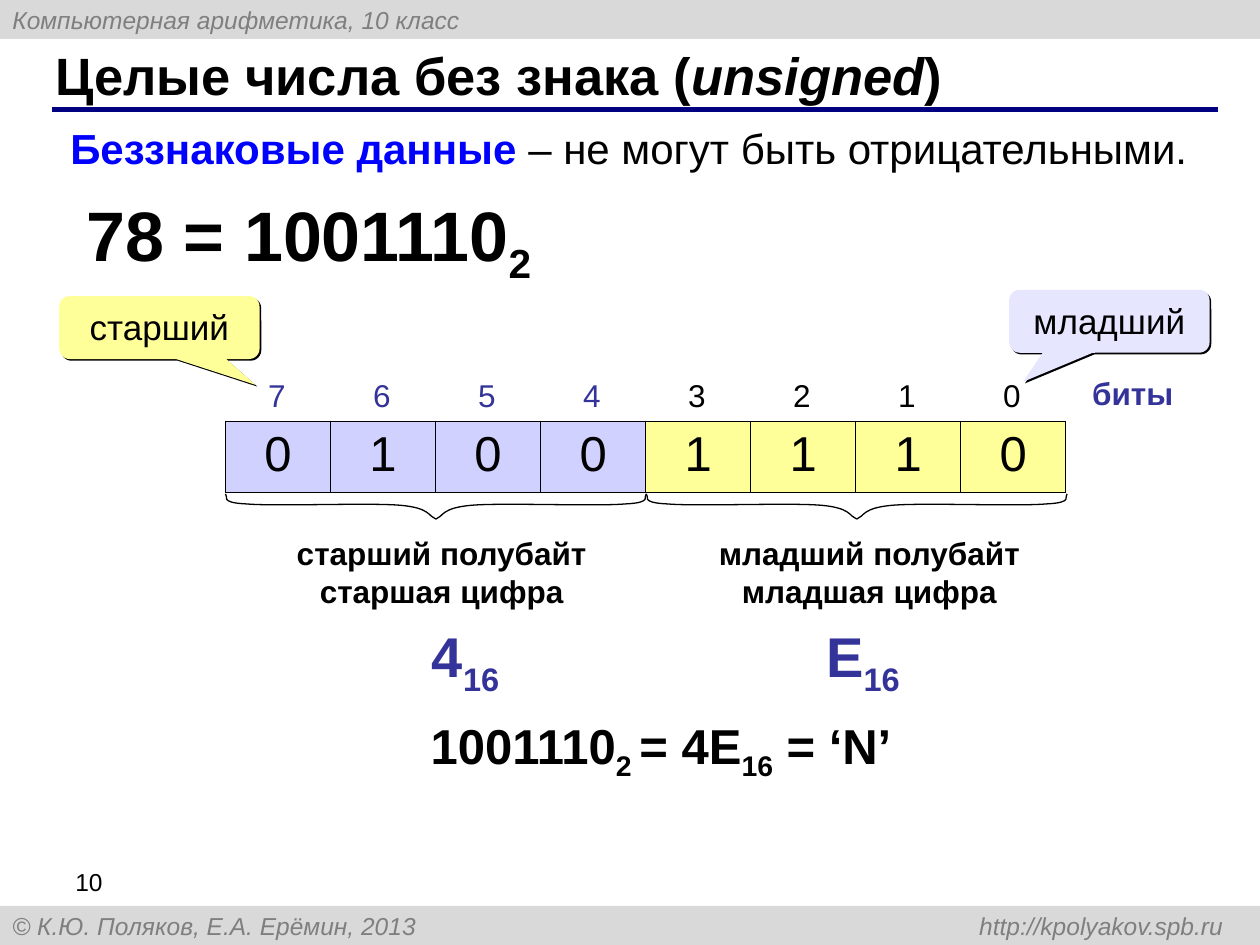
import lxml.etree
import pptx
import pptx.dml.color
import pptx.enum.shapes
import pptx.enum.text
import pptx.oxml
import pptx.oxml.ns
import pptx.util

Inches = pptx.util.Inches
Pt = pptx.util.Pt
qn = pptx.oxml.ns.qn
SHAPE = pptx.enum.shapes.MSO_SHAPE
ANCHOR = pptx.enum.text.MSO_ANCHOR
ALIGN = pptx.enum.text.PP_ALIGN

COLORS = {
    "black": "000000", "band": "D9D9D9", "gray": "7F7F7F", "navy": "000080",
    "blue": "0000FF", "indigo": "333399", "lilac": "D1D1FF",
    "pale": "E6E6FF", "yellow": "FFFF99",
}
FONT = "Arial"
SUB = {"sub": True}
BIT_WIDTH = 6.67 / 8
# Bezier points of the left half of a brace, from its outer end to its tip
HALF_BRACE = [
    (0.03, 0.02), (-0.06, 0.07), (0.17, 0.08),
    (0.4, 0.1), (1.13, 0.07), (1.38, 0.09),
    (1.63, 0.11), (1.61, 0.18), (1.67, 0.2),
]


def rgb(name):
    return pptx.dml.color.RGBColor.from_string(COLORS[name])


def format_run(r, size, color="black", bold=False, italic=False, sub=False):
    r.font.name = FONT
    r.font.size = Pt(size)
    r.font.bold = bold
    r.font.italic = italic
    r.font.color.rgb = rgb(color)
    if sub:
        r._r.get_or_add_rPr().set("baseline", "-25000")


def write(p, runs, **base):
    """Fill a paragraph with (text, format changes) pairs."""
    for text, changes in runs:
        r = p.add_run()
        r.text = text
        format_run(r, **{**base, **changes})


def add_text(s, box, paragraphs, wrap=False, grow=True, align=None,
             anchor=ANCHOR.TOP, **base):
    tf = s.shapes.add_textbox(*map(Inches, box)).text_frame
    tf.word_wrap = wrap
    tf.vertical_anchor = anchor
    if grow:
        tf.auto_size = pptx.enum.text.MSO_AUTO_SIZE.SHAPE_TO_FIT_TEXT
    for i, runs in enumerate(paragraphs):
        p = tf.add_paragraph() if i else tf.paragraphs[0]
        p.alignment = align
        write(p, runs, **base)


def add_filled(s, kind, box, fill, text, align, anchor, **base):
    sp = s.shapes.add_shape(kind, *map(Inches, box))
    sp.shadow.inherit = False
    sp.fill.solid()
    sp.fill.fore_color.rgb = rgb(fill)
    sp.line.fill.background()
    sp.text_frame.word_wrap = True
    sp.text_frame.vertical_anchor = anchor
    p = sp.text_frame.paragraphs[0]
    p.alignment = align
    write(p, [(text, {})], **base)
    return sp


def add_band(s, top, text):
    sp = add_filled(s, SHAPE.RECTANGLE, (0, top, 10, 0.31), "band", text,
                    ALIGN.LEFT, ANCHOR.MIDDLE, size=14, color="gray", italic=True)
    pPr = sp.text_frame.paragraphs[0]._p.get_or_add_pPr()
    tabs = lxml.etree.SubElement(pPr, qn("a:tabLst"))
    lxml.etree.SubElement(tabs, qn("a:tab"), pos=str(Inches(9.61)), algn="r")


def add_callout(s, box, text, fill, tip):
    sp = add_filled(s, SHAPE.ROUNDED_RECTANGULAR_CALLOUT, box, fill, text,
                    ALIGN.CENTER, ANCHOR.TOP, size=20)
    for i, value in enumerate((*tip, 0.167)):
        sp.adjustments[i] = value
    effects = sp._element.spPr.find(qn("a:effectLst"))
    shadow = lxml.etree.SubElement(effects, qn("a:outerShdw"), dist=str(Pt(1.4)),
                                   dir="2700000", algn="ctr", rotWithShape="0")
    lxml.etree.SubElement(shadow, qn("a:srgbClr"), val=COLORS["black"])


def add_rule(s, x1, x2, y):
    line = s.shapes.add_connector(pptx.enum.shapes.MSO_CONNECTOR.STRAIGHT,
                                  Inches(x1), Inches(y), Inches(x2), Inches(y))
    line.line.color.rgb = rgb("navy")
    line.line.width = Pt(3)
    lxml.etree.SubElement(line._element.spPr, qn("a:effectLst"))


def set_borders(cell, width):
    """Draw all four borders, or hide them when width is None."""
    tcPr = cell._tc.get_or_add_tcPr()
    for side in ("lnL", "lnR", "lnT", "lnB"):
        ln = lxml.etree.SubElement(tcPr, qn("a:" + side))
        if width is None:
            lxml.etree.SubElement(ln, qn("a:noFill"))
        else:
            ln.set("w", str(Pt(width)))
            fill = lxml.etree.SubElement(ln, qn("a:solidFill"))
            lxml.etree.SubElement(fill, qn("a:srgbClr"), val=COLORS["black"])


def add_bit_row(s, left, top, height, digits, size, space, border=None,
                fills=(None, None), colors=("black", "black")):
    """Add a one-row table; fills and colors go to its high and low halves."""
    table = s.shapes.add_table(1, len(digits), Inches(left), Inches(top),
                               Inches(BIT_WIDTH * len(digits)), Inches(height)).table
    table.first_row = table.horz_banding = False
    for i, digit in enumerate(digits):
        table.columns[i].width = Inches(BIT_WIDTH)
        half = i * 2 // len(digits)
        cell = table.cell(0, i)
        set_borders(cell, border)
        if fills[half]:
            cell.fill.solid()
            cell.fill.fore_color.rgb = rgb(fills[half])
        else:
            cell.fill.background()
        p = cell.text_frame.paragraphs[0]
        p.alignment = ALIGN.CENTER
        p.space_before = Pt(space)
        write(p, [(digit, {})], size=size, color=colors[half])


def curve_segments(sp):
    """Turn each three line segments of a freeform into one Bezier curve."""
    path_el = next(sp._element.iter(qn("a:path")))
    lines = path_el.findall(qn("a:lnTo"))
    for i in range(0, len(lines), 3):
        curve = lxml.etree.SubElement(path_el, qn("a:cubicBezTo"))
        for line in lines[i:i + 3]:
            curve.append(line[0])
            path_el.remove(line)


def add_half_brace(s, left, top, direction):
    fb = s.shapes.build_freeform(Inches(left), Inches(top))
    fb.add_line_segments([(Inches(left + direction * x), Inches(top + y))
                          for x, y in HALF_BRACE], close=False)
    sp = fb.convert_to_shape()
    curve_segments(sp)
    sp.shadow.inherit = False
    sp.fill.background()
    sp.line.color.rgb = rgb("black")
    sp.line.width = Pt(0.75)


def main():
    prs = pptx.Presentation()
    prs.slide_width, prs.slide_height = Inches(10), Inches(7.5)
    s = prs.slides.add_slide(prs.slide_layouts[6])

    add_band(s, 0, "Компьютерная арифметика, 10 класс")
    add_rule(s, 0.41, 9.67, 0.87)
    add_band(s, 7.19, "© К.Ю. Поляков, Е.А. Ерёмин, 2013 \thttp://kpolyakov.spb.ru")
    add_text(s, (0.34, 0.33, 9.16, 0.52),
             [[("Целые числа без знака (", {}), ("unsigned", {"italic": True}), (")", {})]],
             wrap=True, grow=False, anchor=ANCHOR.MIDDLE, size=30, bold=True)
    add_text(s, (0.5, 6.83, 2.33, 0.52), [[("10", {})]], wrap=True, grow=False, size=14)
    add_text(s, (0.59, 1.47, 3.8, 0.86), [[("78 = 1001110", {}), ("2", SUB)]],
             size=40, bold=True)
    add_text(s, (0.46, 0.92, 9.2, 0.5),
             [[("Беззнаковые данные ", {"color": "blue", "bold": True}),
               ("– не могут быть отрицательными.", {})]], wrap=True, size=24)

    add_bit_row(s, 1.79, 3.34, 0.57, "01001110", 28, 7, border=0.45,
                fills=("lilac", "yellow"))
    add_bit_row(s, 1.78, 2.96, 0.4, "76543210", 18, 4.5, colors=("indigo", "black"))
    add_text(s, (8.57, 2.92, 0.86, 0.4), [[("биты", {})]],
             size=18, color="indigo", bold=True)
    add_callout(s, (8.01, 2.3, 1.59, 0.5), "младший", "pale", (-0.43, 0.96))
    add_callout(s, (0.47, 2.35, 1.59, 0.5), "старший", "yellow", (0.48, 0.91))

    for left in (1.79, 5.13):
        add_half_brace(s, left, 3.92, 1)
        add_half_brace(s, left + 3.34, 3.92, -1)
    for left, width, word, digit_left, digit_width, digit in (
            (2.25, 2.51, "старш", 3.33, 0.74, "4"),
            (5.6, 2.6, "младш", 6.46, 0.79, "E")):
        add_text(s, (left, 4.19, width, 0.7),
                 [[(word + "ий полубайт", {})], [(word + "ая цифра", {})]],
                 align=ALIGN.CENTER, size=18, bold=True)
        add_text(s, (digit_left, 4.88, digit_width, 0.71), [[(digit, {}), ("16", SUB)]],
                 size=32, color="indigo", bold=True)
    add_text(s, (3.32, 5.63, 3.91, 0.63),
             [[("1001110", {}), ("2 ", SUB), ("= 4E", {}), ("16", SUB), (" = ‘N’", {})]],
             size=28, bold=True)
    prs.save("out.pptx")


if __name__ == "__main__":
    main()
